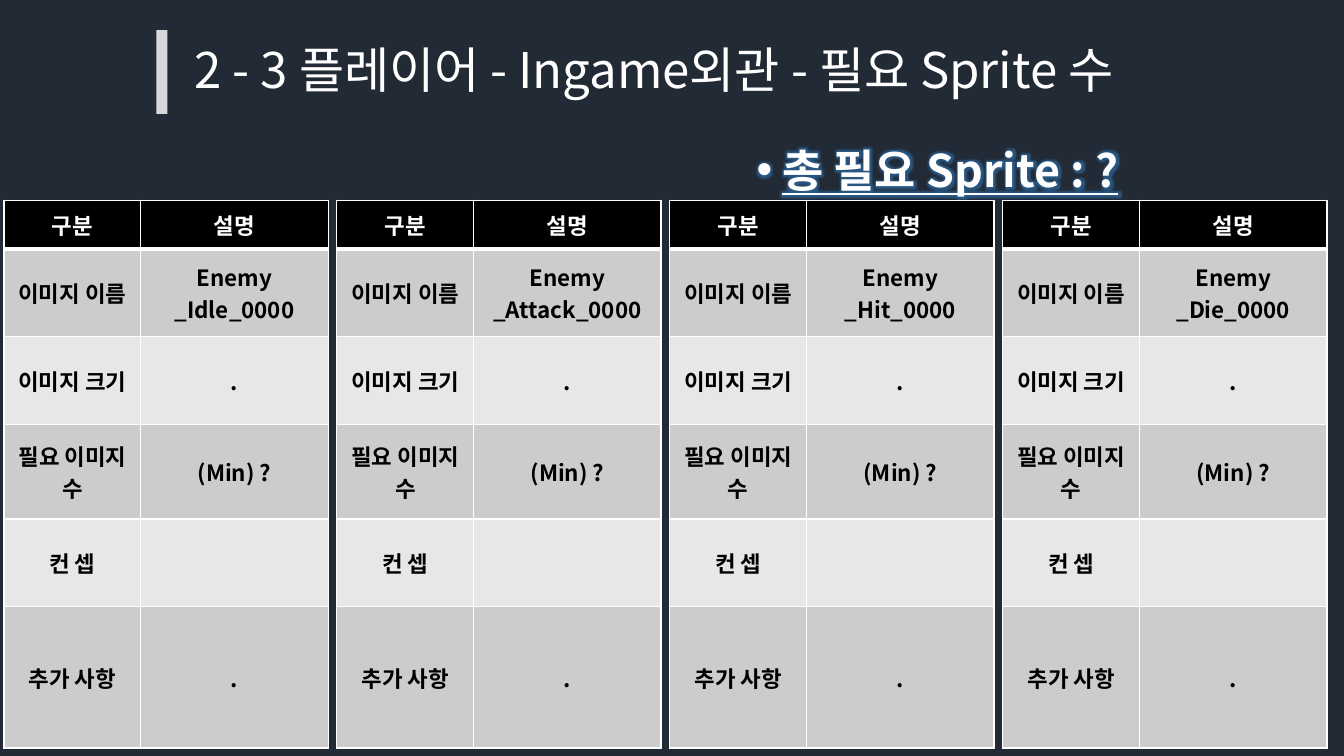
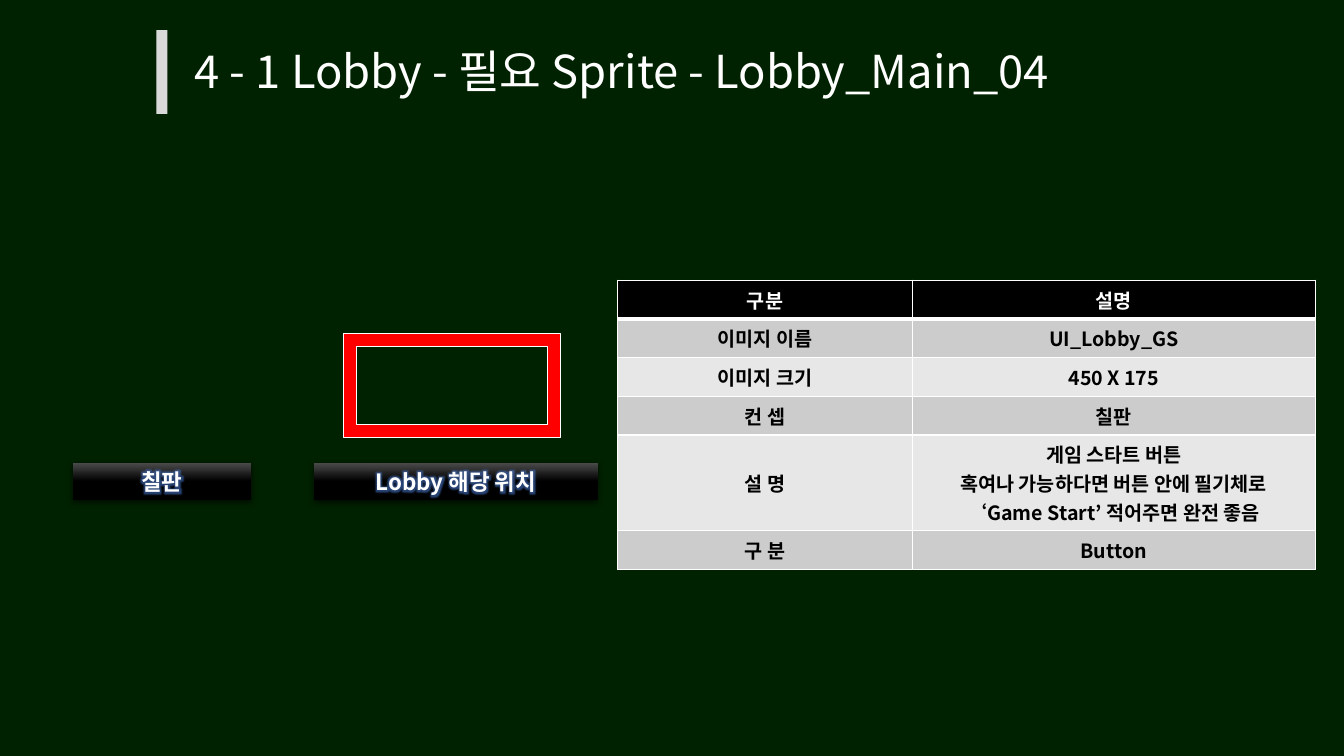
from copy import deepcopy
from dataclasses import dataclass

from lxml import etree
from pptx import Presentation
from pptx.dml.color import RGBColor
from pptx.enum.shapes import MSO_SHAPE
from pptx.enum.text import MSO_ANCHOR, MSO_AUTO_SIZE, PP_ALIGN
from pptx.oxml.ns import qn
from pptx.util import Cm, Pt

RECT, FRAME = MSO_SHAPE.RECTANGLE, MSO_SHAPE.FRAME
LEFT, CENTER = PP_ALIGN.LEFT, PP_ALIGN.CENTER
MIDDLE = MSO_ANCHOR.MIDDLE
NO_FIT, GROW = MSO_AUTO_SIZE.NONE, MSO_AUTO_SIZE.SHAPE_TO_FIT_TEXT
TITLE_ONLY = 5


@dataclass(frozen=True)
class Theme:
    font: str = "Noto Sans CJK KR"
    navy: str = "222A35"
    green: str = "002200"
    bar: str = "D9D9D9"
    white: str = "FFFFFF"
    black: str = "000000"
    sheen: str = "4B4B4B"
    red: str = "FF0000"
    bands: tuple[str, str] = ("CCCCCC", "E7E7E7")
    total_glow: str = "2E75B6"
    label_glow: str = "4472C4"
    title_long: float = 35.1
    title: float = 32.4
    total: float = 32
    body: float = 16
    small: float = 14


T = Theme()


@dataclass(frozen=True)
class Box:
    """Left, top, width and height in centimetres."""
    x: float
    y: float
    w: float
    h: float

    def lengths(self) -> tuple:
        return Cm(self.x), Cm(self.y), Cm(self.w), Cm(self.h)


@dataclass(frozen=True)
class SpecTable:
    x: float
    y: float
    cols: tuple[float, ...]
    rows: tuple[float, ...]
    cells: list[tuple[str, str]]
    size: float


@dataclass(frozen=True)
class Label:
    text: str
    box: Box


# ---- Text and XML helpers ----
def add_sub(parent, tag: str, **attrs):
    return etree.SubElement(parent, qn(tag), {k: str(v) for k, v in attrs.items()})


def add_color(parent, color: str, alpha: int = 100) -> None:
    clr = add_sub(parent, "a:srgbClr", val=color)
    if alpha < 100:
        add_sub(clr, "a:alpha", val=alpha * 1000)


def write(tf, text: str, *, size: float, color: str = T.white, bold: bool = False,
          underline: bool = False, align=LEFT, spacing: float | None = None,
          before: float | None = None, glow: str | None = None) -> None:
    """Fill a text frame: newline starts a paragraph, vertical tab a line."""
    for i, para in enumerate(text.split("\n")):
        p = tf.paragraphs[0] if i == 0 else tf.add_paragraph()
        p.alignment = align
        if spacing:
            p.line_spacing = spacing
        if before:
            p.space_before = Pt(before)
        for j, line in enumerate(para.split("\v")):
            if j:
                p.add_line_break()
            r = p.add_run()
            r.text = line
            f = r.font
            f.size, f.bold, f.underline = Pt(size), bold, underline
            f.color.rgb = RGBColor.from_string(color)
            rpr = r._r.get_or_add_rPr()
            if glow:
                halo = add_sub(add_sub(rpr, "a:effectLst"), "a:glow", rad=Pt(8))
                add_color(halo, glow, 60)
            f.name = T.font
            add_sub(rpr, "a:ea", typeface=T.font)
            if j:
                p._p.findall(qn("a:br"))[-1].append(deepcopy(rpr))


def add_bullet(p, indent) -> None:
    ppr = p._p.get_or_add_pPr()
    ppr.set("marL", str(indent))
    ppr.set("indent", str(-indent))
    add_sub(ppr, "a:buFont", typeface="Arial")
    add_sub(ppr, "a:buChar", char="•")


# ---- Shared slide parts ----
def add_box(slide, kind, box: Box, color: str | None = None):
    sp = slide.shapes.add_shape(kind, *box.lengths())
    sp.shadow.inherit = False
    sp.line.fill.background()
    if color:
        sp.fill.solid()
        sp.fill.fore_color.rgb = RGBColor.from_string(color)
    return sp


def new_slide(prs, title: str, *, bg: str, size: float, spacing: float, width: float):
    slide = prs.slides.add_slide(prs.slide_layouts[TITLE_ONLY])
    fill = slide.background.fill
    fill.solid()
    fill.fore_color.rgb = RGBColor.from_string(bg)
    add_box(slide, RECT, Box(3.94, 0.76, 0.28, 2.11), T.bar)
    sp = slide.shapes.title
    sp.left, sp.top, sp.width, sp.height = Box(4.65, 1.09, width, 1.55).lengths()
    tf = sp.text_frame
    tf.auto_size, tf.vertical_anchor, tf.word_wrap = NO_FIT, MIDDLE, True
    write(tf, title, size=size, spacing=spacing)
    return slide


def set_borders(cell, top: float, bottom: float) -> None:
    tcpr = cell._tc.get_or_add_tcPr()
    for side, width in (("L", 1), ("R", 1), ("T", top), ("B", bottom)):
        ln = add_sub(tcpr, f"a:ln{side}", w=Pt(width))
        add_color(add_sub(ln, "a:solidFill"), T.white)


def add_spec_table(slide, spec: SpecTable) -> None:
    box = Box(spec.x, spec.y, sum(spec.cols), sum(spec.rows))
    tbl = slide.shapes.add_table(len(spec.rows), len(spec.cols), *box.lengths()).table
    tbl.horz_banding = False
    for col, w in zip(tbl.columns, spec.cols):
        col.width = Cm(w)
    for i, (h, texts) in enumerate(zip(spec.rows, spec.cells)):
        tbl.rows[i].height = Cm(h)
        head = i == 0
        for j, text in enumerate(texts):
            cell = tbl.cell(i, j)
            set_borders(cell, top=3 if i == 1 else 1, bottom=3 if head else 1)
            cell.fill.solid()
            band = T.black if head else T.bands[(i - 1) % 2]
            cell.fill.fore_color.rgb = RGBColor.from_string(band)
            cell.vertical_anchor = MIDDLE
            if text:
                write(cell.text_frame, text, size=spec.size, bold=True, align=CENTER,
                      color=T.white if head else T.black)


def add_label(slide, label: Label) -> None:
    sp = add_box(slide, RECT, label.box)
    sp.fill.gradient()
    sp.fill.gradient_angle = 270
    for stop, pos, color in zip(sp.fill.gradient_stops, (0, 0.5), (T.sheen, T.black)):
        stop.position = pos
        stop.color.rgb = RGBColor.from_string(color)
    shadow = add_sub(sp._element.spPr.find(qn("a:effectLst")), "a:outerShdw",
                     blurRad=Pt(4.5), dist=Pt(1.5), dir=5400000, rotWithShape=0)
    add_color(shadow, T.black, 63)
    tf = sp.text_frame
    tf.word_wrap, tf.auto_size, tf.vertical_anchor = True, GROW, MIDDLE
    write(tf, label.text, size=T.body, bold=True, align=CENTER, glow=T.label_glow)


# ---- Slides ----
HEADER = ("구분", "설명")


def build_player(prs) -> None:
    slide = new_slide(prs, "2 - 3 플레이어 - Ingame외관 - 필요 Sprite 수",
                      bg=T.navy, size=T.title_long, spacing=0.8, width=26.09)

    # Sprite total
    tf = slide.shapes.add_textbox(*Box(18.82, 2.79, 14.27, 2.77).lengths()).text_frame
    tf.word_wrap = True
    write(tf, "총 필요 Sprite : ?", size=T.total, bold=True, underline=True,
          spacing=1.5, before=10, glow=T.total_glow)
    add_bullet(tf.paragraphs[0], Cm(0.64))

    # One table for each enemy action
    for i, action in enumerate(("Idle", "Attack", "Hit", "Die")):
        cells = [HEADER, ("이미지 이름", f"Enemy\v_{action}_0000"), ("이미지 크기", "."),
                 ("필요 이미지 수", "(Min) ?"), ("컨 셉", ""), ("추가 사항", ".")]
        add_spec_table(slide, SpecTable(0.1 + 8.39 * i, 5.05, (3.45, 4.72),
                                        (1.22, 2.21, 2.21, 2.39, 2.21, 3.56),
                                        cells, T.body))


def build_lobby(prs) -> None:
    slide = new_slide(prs, "4 - 1 Lobby - 필요 Sprite - Lobby_Main_04",
                      bg=T.green, size=T.title, spacing=0.9, width=24.71)

    # Sprite description
    note = "게임 스타트 버튼\n혹여나 가능하다면 버튼 안에 필기체로\v‘Game Start’ 적어주면 완전 좋음"
    cells = [HEADER, ("이미지 이름", "UI_Lobby_GS"), ("이미지 크기", "450 X 175"),
             ("컨 셉", "칠판"), ("설 명", note), ("구 분", "Button")]
    add_spec_table(slide, SpecTable(15.57, 7.06, (7.42, 10.16), (0.91,) * 6,
                                    cells, T.small))

    # Captions and position marker
    for label in (Label("칠판", Box(1.83, 11.66, 4.5, 0.94)),
                  Label("Lobby 해당 위치", Box(7.92, 11.66, 7.14, 0.94))):
        add_label(slide, label)
    sp = add_box(slide, FRAME, Box(8.66, 8.41, 5.46, 2.62), T.red)
    sp.line.color.rgb = RGBColor.from_string(T.white)
    sp.line.width = Pt(1)


def main() -> None:
    prs = Presentation()
    prs.slide_width, prs.slide_height = Cm(33.87), Cm(19.05)
    build_player(prs)
    build_lobby(prs)
    prs.save("out.pptx")


if __name__ == "__main__":
    main()
